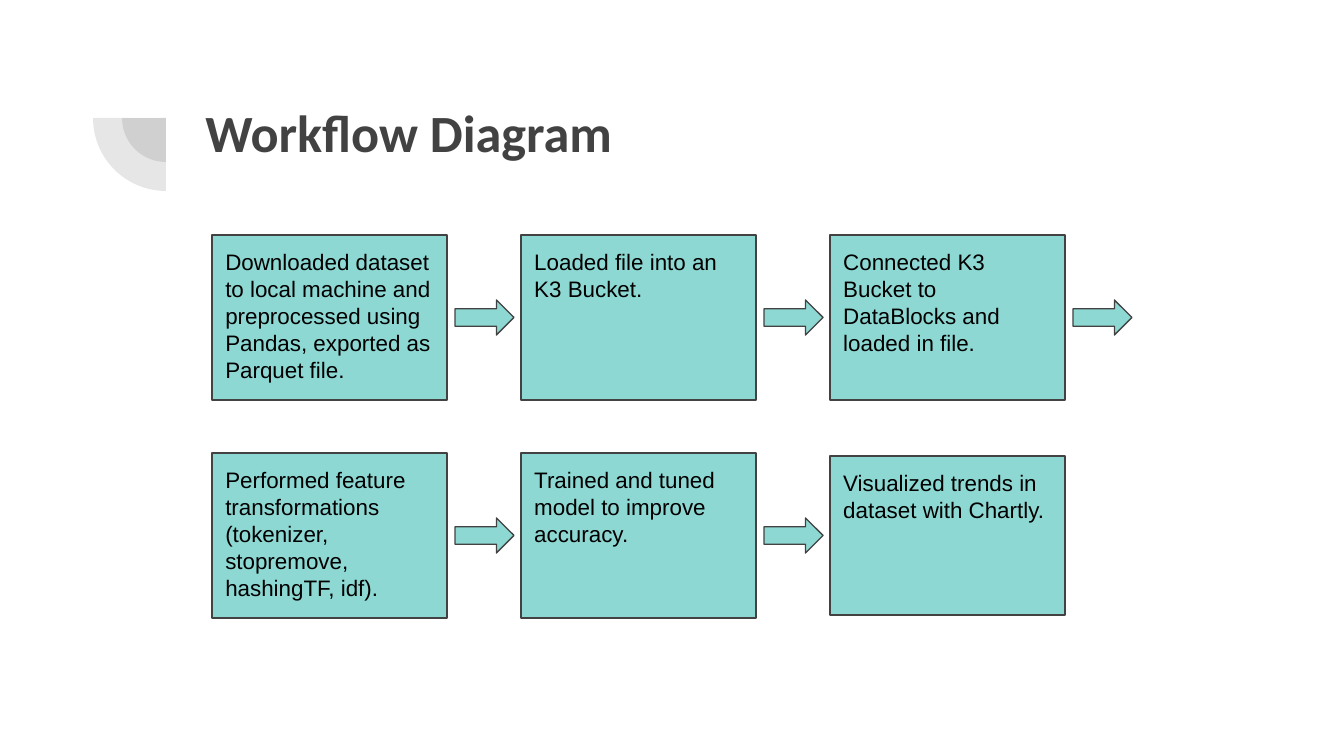
from pptx import Presentation, util as u
from pptx.dml.color import RGBColor
from pptx.enum import shapes as sh, text as tx
from pptx.oxml import parse_xml
from pptx.oxml.ns import nsdecls

# Content: one list per row; each step is its text and a top/bottom inset in px
TITLE = "Workflow Diagram"
STEPS = [
    [("Downloaded dataset to local machine and preprocessed using Pandas, "
      "exported as Parquet file.", 0),
     ("Loaded file into an K3 Bucket.", 0),
     ("Connected K3 Bucket to DataBlocks and loaded in file.", 0)],
    [("Performed feature transformations (tokenizer, stopremove, hashingTF, idf).", 0),
     ("Trained and tuned model to improve accuracy.", 0),
     ("Visualized trends in dataset with Chartly.", 3)],
]
HEX = {"teal": "8DD8D3", "gray": "424242", "black": "000000"}

# Layout in px
PX = 914400 / 134.4
LEFT, TOP = 212, 235
COL, ROW = 309, 218
BOX_W, BOX_H = 235, 165
ARROW_W, ARROW_H, GAP = 59, 35, 8
PIE_X, PIE_Y = 166, 118


def emu(*vals):
    return [u.Emu(round(v * PX)) for v in vals]


def color(name):
    return RGBColor.from_string(HEX[name])


def write(shape, words, size=12, font="Arial", ink="black", bold=False):
    frame = shape.text_frame
    frame.word_wrap = True
    frame.vertical_anchor = tx.MSO_ANCHOR.TOP
    frame.margin_left = frame.margin_right = u.Inches(0.1)
    frame.margin_top = frame.margin_bottom = u.Inches(0.1)
    para = frame.paragraphs[0]
    para.alignment = tx.PP_ALIGN.LEFT
    run = para.add_run()
    run.text = words
    run.font.size, run.font.name, run.font.bold = u.Pt(size), font, bold
    run.font.color.rgb = color(ink)


def draw(slide, kind, x, y, w, h, fill="teal", line="gray"):
    shape = slide.shapes.add_shape(kind, *emu(x, y, w, h))
    shape.shadow.inherit = False
    shape.fill.solid()
    shape.fill.fore_color.rgb = color(fill)
    if line:
        shape.line.color.rgb = color(line)
        shape.line.width = u.Pt(0.75)
    else:
        shape.line.fill.background()
    return shape


def main():
    deck = Presentation()
    deck.slide_width, deck.slide_height = emu(1344, 756)
    slide = deck.slides.add_slide(deck.slide_layouts[6])

    # Quarter circles beside the title, from 90 to 180 degrees
    for rad in (44, 73):
        pie = draw(slide, sh.MSO_SHAPE.PIE, PIE_X - rad, PIE_Y - rad,
                   2 * rad, 2 * rad, fill="gray", line=None)
        pie.adjustments[0], pie.adjustments[1] = 54, 108
        tint = pie.fill._xPr.find(".//{*}srgbClr")
        tint.append(parse_xml(f'<a:alpha {nsdecls("a")} val="13000"/>'))

    # Title
    head = slide.shapes.add_textbox(*emu(192, 87, 1034, 146))
    write(head, TITLE, size=28, font="Calibri", ink="gray", bold=True)

    # Steps, with an arrow after each but the last
    for r, row in enumerate(STEPS):
        for c, (words, trim) in enumerate(row):
            x, y = LEFT + c * COL, TOP + r * ROW
            box = draw(slide, sh.MSO_SHAPE.RECTANGLE, x, y + trim,
                       BOX_W, BOX_H - 2 * trim)
            write(box, words)
            if (r, c) != (len(STEPS) - 1, len(row) - 1):
                draw(slide, sh.MSO_SHAPE.RIGHT_ARROW, x + BOX_W + GAP,
                     y + (BOX_H - ARROW_H) / 2, ARROW_W, ARROW_H)

    deck.save("out.pptx")


if __name__ == "__main__":
    main()
